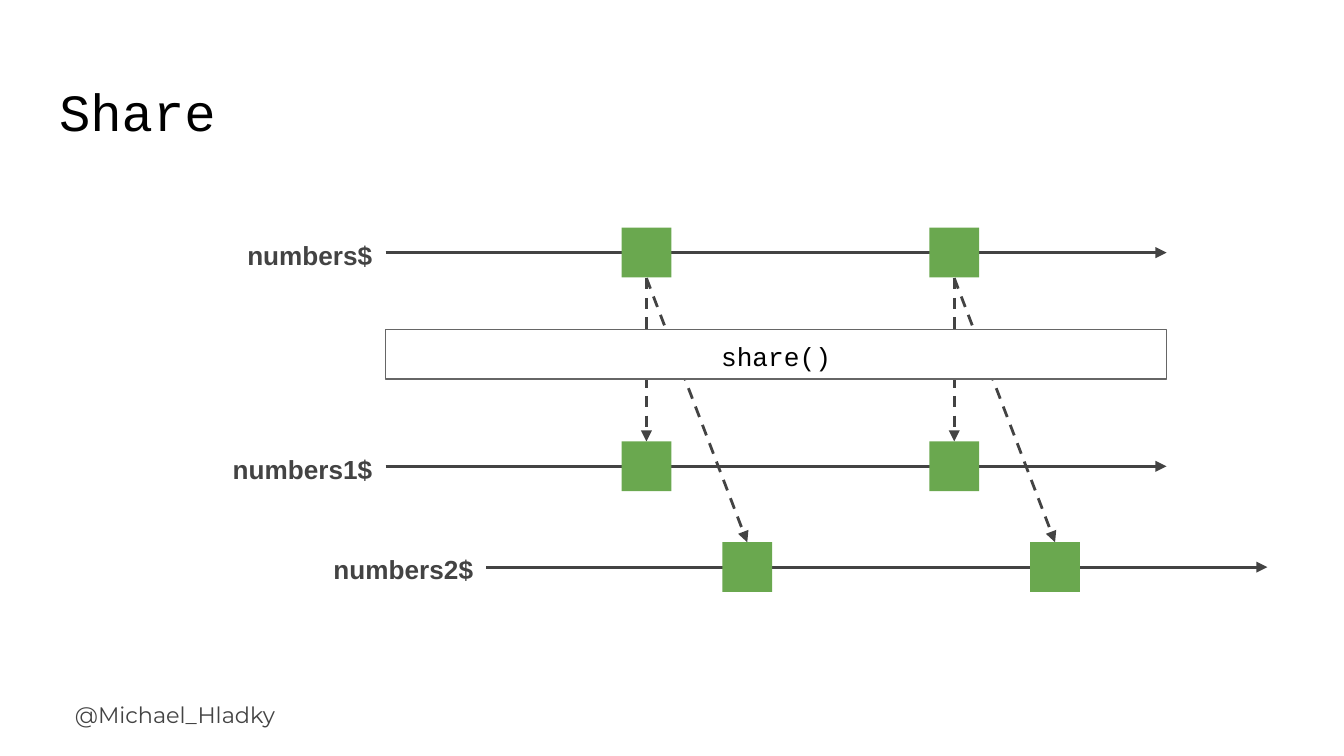
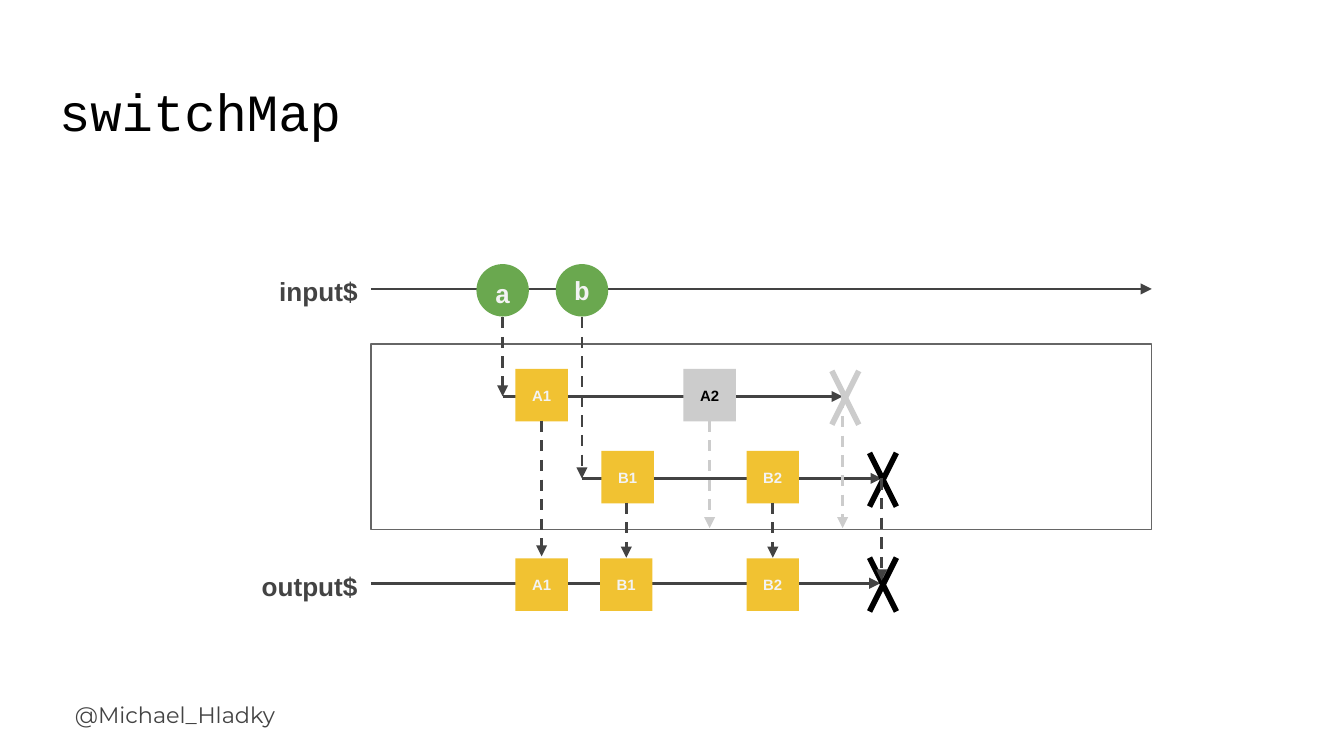
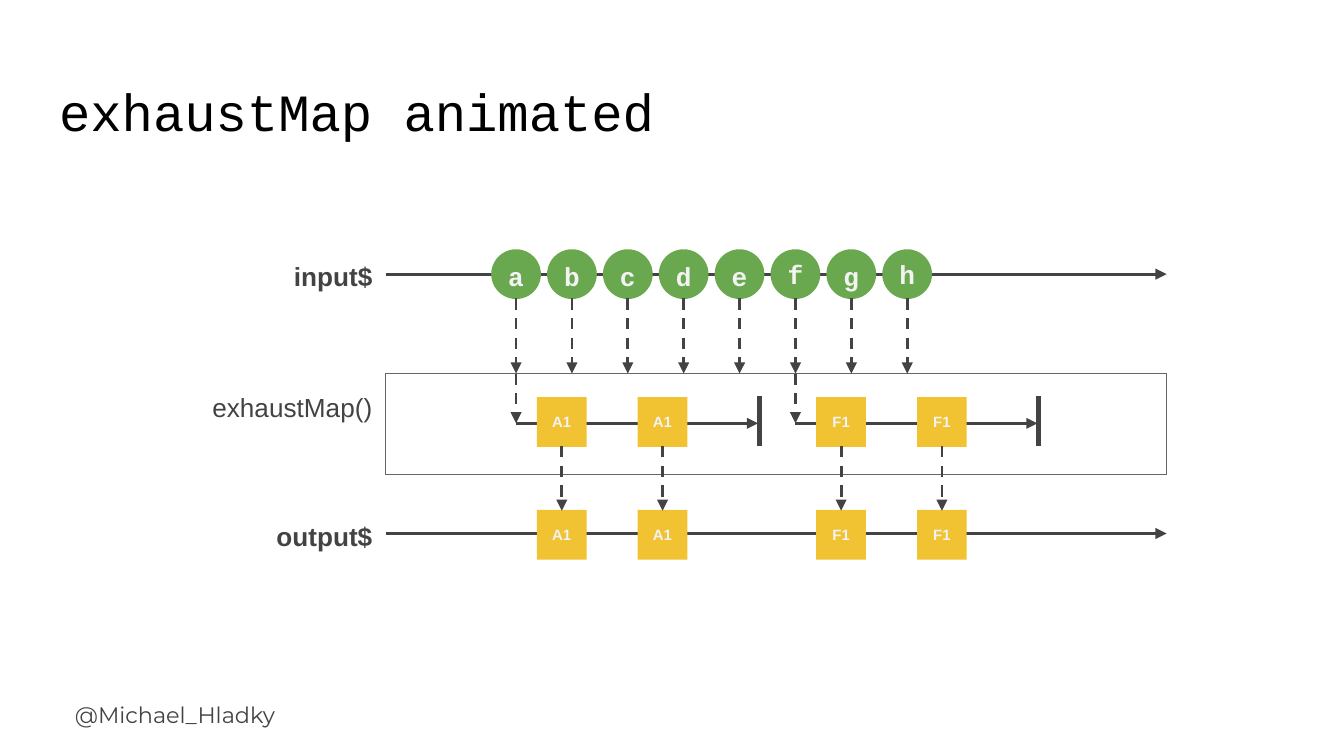
from lxml import etree
from pptx import Presentation
from pptx.dml.color import RGBColor
from pptx.enum.dml import MSO_LINE
from pptx.enum.shapes import MSO_CONNECTOR, MSO_SHAPE
from pptx.enum.text import MSO_ANCHOR, MSO_AUTO_SIZE, PP_ALIGN
from pptx.oxml.ns import qn
from pptx.util import Inches, Pt

RECT, OVAL = MSO_SHAPE.RECTANGLE, MSO_SHAPE.OVAL
STRAIGHT, DASH = MSO_CONNECTOR.STRAIGHT, MSO_LINE.DASH
LEFT, CENTER, RIGHT = PP_ALIGN.LEFT, PP_ALIGN.CENTER, PP_ALIGN.RIGHT
TOP, MIDDLE = MSO_ANCHOR.TOP, MSO_ANCHOR.MIDDLE
NO_FIT = MSO_AUTO_SIZE.NONE

INK, BORDER, BLACK, WHITE = "434343", "666666", "000000", "FFFFFF"
GREEN, YELLOW, GREY, PALE = "6AA84F", "F1C232", "CCCCCC", "F3F3F3"
SANS, MONO, BRAND = "Arial", "Courier New", "Montserrat"
HANDLE = "@Michael_Hladky"
SPAN = 5.81

SHARE = {
    "title": "Share",
    "streams": [("numbers1$", 2.87, 3.47), ("numbers$", 2.87, 1.88), ("numbers2$", 3.62, 4.22)],
    "events": [4.81, 7.1],
    "delay": 0.75,
}
SWITCH = {
    "title": "switchMap",
    "streams": [("output$", 2.76, 4.34, 3.79), ("input$", 2.76, 2.15)],
    "inner": [(3.74, 6.27, 2.95), (4.33, 6.56, 3.56)],
    "inputs": [("a", 3.74, 1.15), ("b", 4.33, 1)],
    "values": [
        ("A1", 4.03, 2.94, YELLOW), ("A2", 5.28, 2.94, GREY),
        ("B1", 4.67, 3.55, YELLOW), ("B2", 5.75, 3.55, YELLOW),
        ("A1", 4.03, 4.35, YELLOW), ("B1", 4.66, 4.35, YELLOW), ("B2", 5.75, 4.35, YELLOW),
    ],
    "ends": [(6.29, 2.96, GREY), (6.57, 3.57, BLACK), (6.57, 4.35, BLACK)],
    "arrows": [
        (3.74, 2.36, 2.95, INK), (4.33, 2.36, 3.56, INK), (4.03, 3.13, 4.14, INK),
        (5.28, 3.13, 3.93, GREY), (4.66, 3.74, 4.15, INK), (5.75, 3.74, 4.15, INK),
        (6.27, 2.95, 3.93, GREY), (6.56, 3.56, 4.32, INK),
    ],
}
EXHAUST = {
    "title": "exhaustMap animated",
    "streams": [("output$", 2.87, 3.97), ("input$", 2.87, 2.04)],
    "letters": "abcdefgh",
    "single_spaced": "fh",
    "first": 3.84,
    "last": 6.75,
    "inner": {"a": "A1", "f": "F1"},
    "offsets": [0.34, 1.09],
}


def rgb(color):
    return RGBColor.from_string(color)


def write(sp, text, size, font, color, bold=False, align=CENTER,
          anchor=MIDDLE, spacing=None, inset=0.1):
    tf = sp.text_frame
    tf.word_wrap = True
    tf.auto_size = NO_FIT
    tf.vertical_anchor = anchor
    tf.margin_left = tf.margin_right = tf.margin_top = tf.margin_bottom = Inches(inset)
    tf.text = text
    p = tf.paragraphs[0]
    p.alignment = align
    if spacing:
        p.line_spacing = spacing
    f = p.runs[0].font
    f.size, f.name, f.bold = Pt(size), font, bold
    f.color.rgb = rgb(color)


def textbox(s, x, y, w, h, text, size, font, color, **style):
    sp = s.shapes.add_textbox(Inches(x), Inches(y), Inches(w), Inches(h))
    write(sp, text, size, font, color, **style)
    return sp


def shape(s, kind, x, y, w, h, fill, border=None):
    sp = s.shapes.add_shape(kind, Inches(x), Inches(y), Inches(w), Inches(h))
    sp.shadow.inherit = False
    sp.fill.solid()
    sp.fill.fore_color.rgb = rgb(fill)
    if border:
        sp.line.color.rgb = rgb(border)
        sp.line.width = Pt(0.75)
    else:
        sp.line.fill.background()
    return sp


def line(s, x1, y1, x2, y2, color=INK, width=1.5, dashed=False, arrow=True):
    cxn = s.shapes.add_connector(STRAIGHT, Inches(x1), Inches(y1), Inches(x2), Inches(y2))
    cxn.line.color.rgb = rgb(color)
    cxn.line.width = Pt(width)
    if dashed:
        cxn.line.dash_style = DASH
    spPr = cxn.element.spPr
    if arrow:
        etree.SubElement(spPr.find(qn("a:ln")), qn("a:tailEnd"), type="triangle")
    etree.SubElement(spPr, qn("a:effectLst"))


def node(s, kind, x, y, size, fill):
    return shape(s, kind, x - size / 2, y - size / 2, size, size, fill)


def value(s, text, x, y, size, fill=YELLOW):
    sp = node(s, RECT, x, y, size, fill)
    write(sp, text, 8, SANS, BLACK if fill == GREY else PALE, bold=True)


def letter(s, text, x, y, size, spacing):
    sp = node(s, OVAL, x, y, size, GREEN)
    write(sp, text, 14, MONO, PALE, bold=True, spacing=spacing, inset=0)


def operator(s, x, y, h):
    return shape(s, RECT, x, y, SPAN, h, WHITE, BORDER)


def stream(s, name, x, y, length=SPAN):
    line(s, x, y, x + length, y)
    textbox(s, x - 2.39, y - 0.25, 2.39, 0.5, name, 14, SANS, INK,
            bold=True, align=RIGHT, spacing=1.15)


def start(prs, content):
    s = prs.slides.add_slide(prs.slide_layouts[5])
    t = s.shapes.title
    t.left, t.top, t.width, t.height = Inches(0.34), Inches(0.49), Inches(8.63), Inches(0.63)
    write(t, content["title"], 28, MONO, BLACK, align=LEFT, anchor=TOP)
    return s


def add_streams(s, content):
    for row in content["streams"]:
        stream(s, *row)


def share_slide(prs):
    s = start(prs, SHARE)
    add_streams(s, SHARE)
    size, delay = 0.37, SHARE["delay"]
    for x in SHARE["events"]:
        node(s, RECT, x, 1.88, size, GREEN)
        for x2, y2 in ((x, 3.47), (x + delay, 4.22)):
            line(s, x, 2.07, x2, y2 - size / 2, dashed=True)
            node(s, RECT, x2, y2, size, GREEN)
    write(operator(s, 2.87, 2.45, 0.37), "share()", 14, MONO, BLACK, spacing=1.15)


def switch_slide(prs):
    s = start(prs, SWITCH)
    operator(s, 2.76, 2.56, 1.38)
    add_streams(s, SWITCH)
    for x1, x2, y in SWITCH["inner"]:
        line(s, x1, y, x2, y)
    for text, x, spacing in SWITCH["inputs"]:
        letter(s, text, x, 2.16, 0.39, spacing)
    for text, x, y, fill in SWITCH["values"]:
        value(s, text, x, y, 0.39, fill)
    for x, y, color in SWITCH["ends"]:
        for dx in (0.1, -0.1):
            line(s, x + dx, y - 0.2, x - dx, y + 0.2, color, 3, arrow=False)
    for x, y1, y2, color in SWITCH["arrows"]:
        line(s, x, y1, x, y2, color, dashed=True)


def exhaust_slide(prs):
    s = start(prs, EXHAUST)
    operator(s, 2.87, 2.78, 0.75)
    textbox(s, 0.48, 2.78, 2.39, 0.75, "exhaustMap()", 14, SANS, INK,
            align=RIGHT, anchor=TOP, spacing=1.15)
    add_streams(s, EXHAUST)
    first, letters = EXHAUST["first"], EXHAUST["letters"]
    pitch = (EXHAUST["last"] - first) / (len(letters) - 1)
    for i, text in enumerate(letters):
        x = first + i * pitch
        letter(s, text, x, 2.04, 0.37, 1 if text in EXHAUST["single_spaced"] else 1.15)
        line(s, x, 2.22, x, 2.78, dashed=True)
        if text not in EXHAUST["inner"]:
            continue
        line(s, x, 2.78, x, 3.15, dashed=True)
        line(s, x, 3.15, x + 1.8, 3.15)
        line(s, x + 1.81, 2.95, x + 1.81, 3.32, width=3, arrow=False)
        for offset in EXHAUST["offsets"]:
            for y in (3.14, 3.98):
                value(s, EXHAUST["inner"][text], x + offset, y, 0.37)
            line(s, x + offset, 3.32, x + offset, 3.8, dashed=True)


def add_footer(prs):
    footer = textbox(prs.slides[0], 0.46, 5.12, 2.24, 0.45, HANDLE, 12, BRAND, INK,
                     align=LEFT, anchor=TOP)
    prs.slide_layouts[5].shapes.element.append(footer.element)


def main():
    prs = Presentation()
    prs.slide_width = Inches(10)
    prs.slide_height = prs.slide_width * 9 // 16
    for build in (share_slide, switch_slide, exhaust_slide):
        build(prs)
    add_footer(prs)
    prs.save("out.pptx")


if __name__ == "__main__":
    main()
